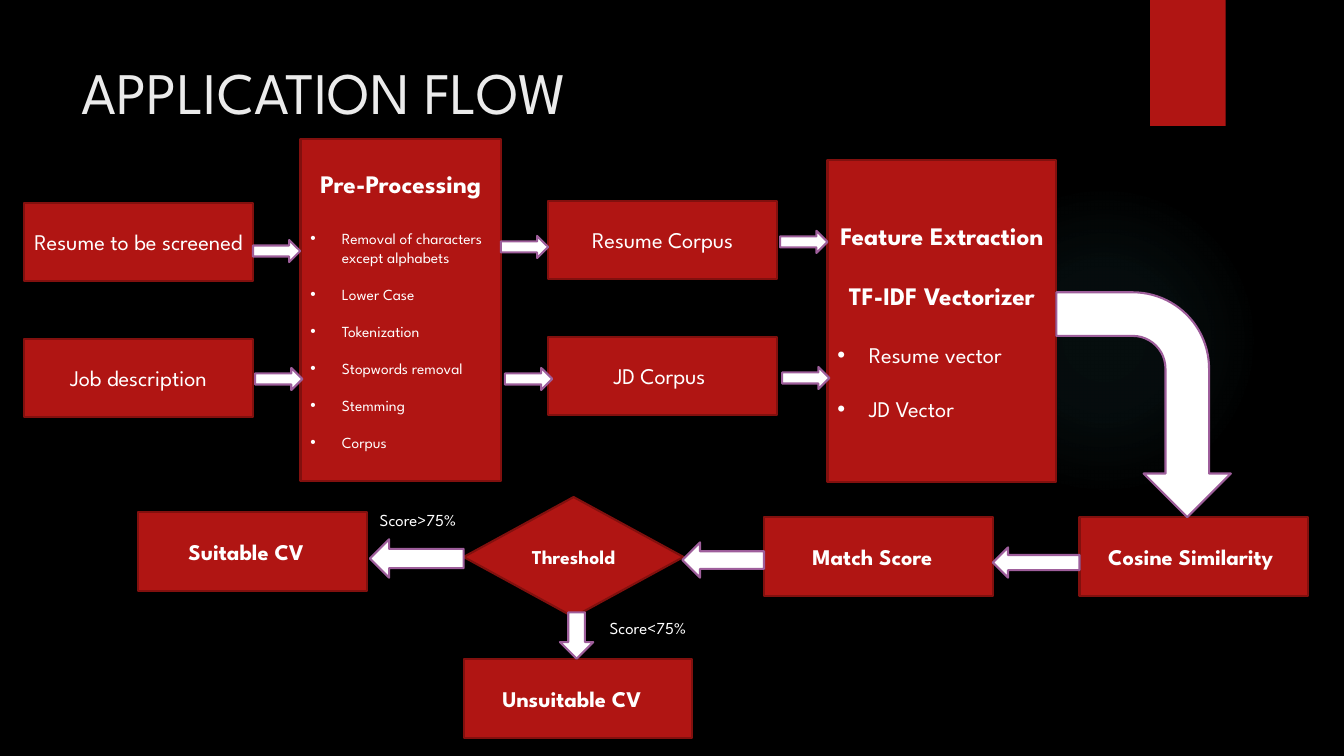
"""Build the application flow slide of a resume screening project."""
from pptx import Presentation
from pptx.dml.color import RGBColor
from pptx.enum import shapes, text
from pptx.oxml import ns, parse_xml
from pptx.util import Pt

RED = RGBColor(0xB0, 0x15, 0x13)
DARK_RED = RGBColor(0x82, 0x10, 0x0E)
PURPLE = RGBColor(0x9E, 0x5E, 0x9B)
WHITE = RGBColor(0xFF, 0xFF, 0xFF)
PALE = RGBColor(0xEB, 0xEB, 0xEB)
BLACK = RGBColor(0, 0, 0)
TEAL = RGBColor(0x50, 0xB9, 0xC1)
FONT = "League Spartan"
KIND = shapes.MSO_SHAPE

TITLE = "APPLICATION FLOW"
STEP_SIZE = (163.4, 56.2)
# label, left, top, bold, extra right inset
STEPS = [
    ("Resume to be screened", 17.3, 144.7, False, 0),
    ("Job description", 17.3, 241.9, False, 0),
    ("Resume Corpus", 391.7, 143.3, False, 0),
    ("JD Corpus", 391.7, 240.5, False, 4.3),
    ("Cosine Similarity", 771.1, 369.4, True, 4.3),
    ("Match Score", 545.8, 369.4, True, 8.6),
    ("Suitable CV", 98.6, 365.8, True, 8.6),
    ("Unsuitable CV", 331.2, 470.9, True, 8.6),
]
# place, headings, bullets, bullet size, gap between bullets
STAGES = [
    ((214.6, 99.4, 143.3, 244.1), ["Pre-Processing"],
     ["Removal of characters except alphabets", "Lower Case", "Tokenization",
      "Stopwords removal", "Stemming", "Corpus"], 11, 13.2),
    ((591.1, 114.5, 163.4, 229.7), ["Feature Extraction", "TF-IDF Vectorizer"],
     ["Resume vector", "JD Vector"], 16, 19.3),
]
HEADING_SIZE, HEADING_GAP, BULLET_INDENT = 18, 21.7, 22.5
DECISION = ("Threshold", (331.2, 355, 157, 85.7))
SHORT_ARROW_SIZE = (33.8, 15.8)
SHORT_ARROWS = [(180.7, 171.4), (182.2, 262.8), (360.7, 262.8),
                (357.8, 168.5), (557.3, 164.9), (558.7, 262.1)]
TURNED_ARROWS = [
    (KIND.BENT_ARROW, (736.6, 226.8, 160.6, 124.6), 90),
    (KIND.RIGHT_ARROW, (709.2, 391, 61.9, 21.6), 180),
    (KIND.RIGHT_ARROW, (487.4, 387.4, 58.3, 25.2), 180),
    (KIND.RIGHT_ARROW, (264.2, 385.2, 67, 27.4), 180),
    (KIND.RIGHT_ARROW, (395.3, 442.1, 33.1, 23.8), 90),
]
SCORES = [("Score>75%", 264.2, 360.7), ("Score<75%", 428.4, 437.8)]
SCORE_SIZE = (88.6, 21.6)
GLOW_STOPS = [(0, 7), (36, 6), (69, 0)]


def add_part(slide, kind, place, fill, line=None):
    part = slide.shapes.add_shape(kind, *map(Pt, place))
    part.shadow.inherit = False
    part.fill.solid()
    part.fill.fore_color.rgb = fill
    if line is None:
        part.line.fill.background()
    else:
        part.line.color.rgb = line
        part.line.width = Pt(1.5)
    return part


def write(paragraph, words, size, bold=False, color=WHITE, align=text.PP_ALIGN.CENTER):
    paragraph.alignment = align
    run = paragraph.add_run()
    run.text = words
    run.font.name = FONT
    run.font.size = Pt(size)
    run.font.bold = bold
    run.font.color.rgb = color


def add_bullet(paragraph):
    props = paragraph._p.get_or_add_pPr()
    props.set("marL", str(Pt(BULLET_INDENT)))
    props.set("indent", str(-Pt(BULLET_INDENT)))
    for tag, key, value in [("buFont", "typeface", "Arial"), ("buChar", "char", "•")]:
        props.append(parse_xml(f'<a:{tag} {ns.nsdecls("a")} {key}="{value}"/>'))


def add_decor(slide):
    glow = add_part(slide, KIND.OVAL, (677.5, 131.8, 221.8, 221.8), TEAL)
    stops = "".join(
        f'<a:gs pos="{pos * 1000}"><a:srgbClr val="{TEAL}">'
        f'<a:alpha val="{alpha * 1000}"/></a:srgbClr></a:gs>'
        for pos, alpha in GLOW_STOPS)
    gradient = parse_xml(
        f'<a:gradFill {ns.nsdecls("a")}><a:gsLst>{stops}</a:gsLst><a:path path="circle">'
        '<a:fillToRect l="50000" t="50000" r="50000" b="50000"/></a:path></a:gradFill>')
    glow_props = glow._element.spPr
    glow_props.replace(glow_props.find(ns.qn("a:solidFill")), gradient)

    ribbon = add_part(slide, KIND.RECTANGLE, (821.5, 0, 54, 90), RED)
    ribbon._element.spPr.find(ns.qn("a:effectLst")).append(parse_xml(
        f'<a:outerShdw {ns.nsdecls("a")} blurRad="{Pt(3)}" dist="{Pt(2)}" dir="5400000">'
        f'<a:srgbClr val="{BLACK}"><a:alpha val="45000"/></a:srgbClr></a:outerShdw>'))


def add_title(slide):
    title = slide.shapes.title
    title.left, title.top, title.width, title.height = map(Pt, (51.1, 36, 740.9, 110.2))
    title.text_frame.vertical_anchor = text.MSO_ANCHOR.TOP
    write(title.text_frame.paragraphs[0], TITLE, 42, color=PALE, align=text.PP_ALIGN.LEFT)


def add_stage(slide, place, headings, bullets, size, gap):
    frame = add_part(slide, KIND.FLOWCHART_PROCESS, place, RED, DARK_RED).text_frame
    for index, heading in enumerate(headings):
        paragraph = frame.add_paragraph() if index else frame.paragraphs[0]
        paragraph.space_before = Pt(HEADING_GAP if index else 0)
        write(paragraph, heading, HEADING_SIZE, bold=True)
    for index, bullet in enumerate(bullets):
        paragraph = frame.add_paragraph()
        paragraph.space_before = Pt(gap if index else HEADING_GAP)
        write(paragraph, bullet, size, align=text.PP_ALIGN.LEFT)
        add_bullet(paragraph)


def main():
    deck = Presentation()
    deck.slide_width, deck.slide_height = Pt(960), Pt(540)
    slide = deck.slides.add_slide(deck.slide_layouts[5])
    slide.background.fill.solid()
    slide.background.fill.fore_color.rgb = BLACK
    add_decor(slide)
    add_title(slide)

    for label, left, top, bold, inset in STEPS:
        step = add_part(slide, KIND.FLOWCHART_PROCESS, (left, top, *STEP_SIZE), RED, DARK_RED)
        step.text_frame.margin_right = Pt(7.2 + inset)
        write(step.text_frame.paragraphs[0], label, 16, bold)
    for stage in STAGES:
        add_stage(slide, *stage)
    label, place = DECISION
    decision = add_part(slide, KIND.FLOWCHART_DECISION, place, RED, DARK_RED)
    write(decision.text_frame.paragraphs[0], label, 14, bold=True)

    short_arrows = [(KIND.RIGHT_ARROW, (*spot, *SHORT_ARROW_SIZE), 0) for spot in SHORT_ARROWS]
    for kind, place, turn in short_arrows + TURNED_ARROWS:
        add_part(slide, kind, place, WHITE, PURPLE).rotation = turn

    for label, left, top in SCORES:
        score = slide.shapes.add_textbox(*map(Pt, (left, top, *SCORE_SIZE)))
        score.text_frame.word_wrap = True
        score.text_frame.auto_size = text.MSO_AUTO_SIZE.SHAPE_TO_FIT_TEXT
        write(score.text_frame.paragraphs[0], label, 12, align=text.PP_ALIGN.LEFT)
    deck.save("out.pptx")


if __name__ == "__main__":
    main()
